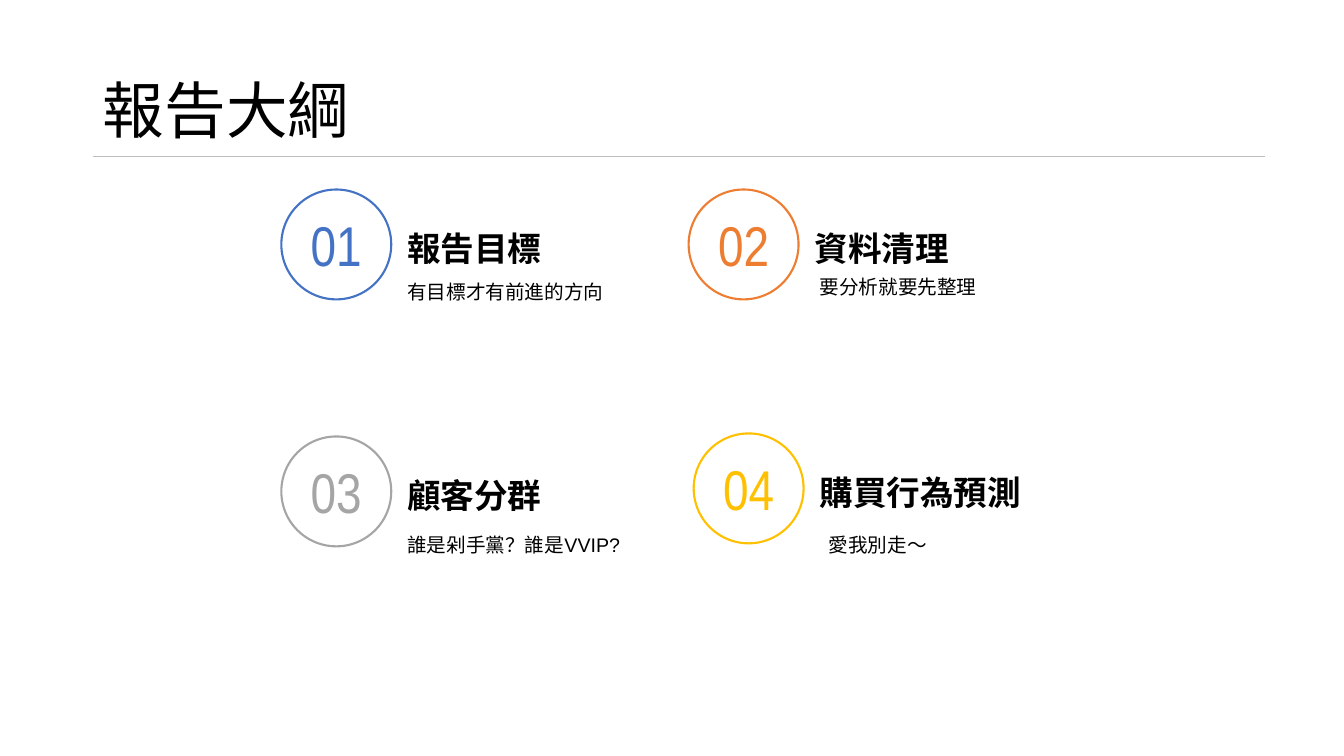
"""Build the report outline slide with four numbered sections."""
from lxml.etree import SubElement
from pptx import Presentation
from pptx.dml.color import RGBColor
from pptx.enum.shapes import MSO_CONNECTOR as CONNECTOR, MSO_SHAPE as SHAPE
from pptx.enum.text import MSO_ANCHOR as ANCHOR, PP_ALIGN as ALIGN
from pptx.oxml.ns import qn
from pptx.util import Inches, Pt

CJK = "Noto Sans CJK TC"


def color(value):
    return RGBColor.from_string(value)


def write(shape, text, size, font, hex_color="000000", bold=False, spacing=1.0,
          align=ALIGN.LEFT, anchor=ANCHOR.TOP, wrap=True):
    frame = shape.text_frame
    frame.text = text
    frame.word_wrap = wrap
    frame.vertical_anchor = anchor
    paragraph = frame.paragraphs[0]
    paragraph.alignment = align
    paragraph.line_spacing = spacing
    run_font = paragraph.runs[0].font
    run_font.size = Pt(size)
    run_font.name = font
    run_font.bold = bold
    run_font.color.rgb = color(hex_color)
    SubElement(paragraph.runs[0]._r.get_or_add_rPr(), qn("a:ea"), typeface=CJK)


prs = Presentation()
prs.slide_width, prs.slide_height = Inches(13.33), Inches(7.5)
slide = prs.slides.add_slide(prs.slide_layouts[5])
shapes = slide.shapes

title = shapes.title
title.left, title.top = Inches(0.92), Inches(0.75)
title.width, title.height = Inches(11.5), Inches(1.45)
write(title, "報告大綱", 44, CJK, spacing=0.9)

sections = [
    ("01", "報告目標", "有目標才有前進的方向", "4472C4", 2.79, 1.88, 3.94, 2.68, 1.2),
    ("02", "資料清理", "要分析就要先整理", "ED7D31", 6.83, 1.88, 8.03, 2.68, 1.0),
    ("03", "顧客分群", "誰是剁手黨？誰是VVIP?", "A5A5A5", 2.79, 4.33, 3.94, 5.19, 1.2),
    ("04", "購買行為預測", "愛我別走～", "FFC000", 6.88, 4.3, 8.12, 5.19, 1.2),
]
for number, heading, note, accent, left, top, note_left, note_top, spacing in sections:
    circle = shapes.add_shape(SHAPE.OVAL, Inches(left), Inches(top), Inches(1.09), Inches(1.09))
    circle.shadow.inherit = False
    circle.fill.background()
    circle.line.color.rgb = color(accent)
    circle.line.width = Pt(1.5)
    write(circle, number, 40, "Arial Narrow", accent,
          align=ALIGN.CENTER, anchor=ANCHOR.MIDDLE, wrap=False)

    heading_box = shapes.add_textbox(Inches(left + 1.15), Inches(top + 0.33),
                                     Inches(2.36), Inches(0.39))
    write(heading_box, heading, 24, "Arial", bold=True)

    note_box = shapes.add_textbox(Inches(note_left), Inches(note_top), Inches(2.36), Inches(0.67))
    write(note_box, note, 14, CJK if number == "02" else "Arial", spacing=spacing)

divider = shapes.add_connector(CONNECTOR.STRAIGHT, Inches(0.92), Inches(1.55),
                               Inches(12.55), Inches(1.55))
divider.line.color.rgb = color("BFBFBF")
divider.line.width = Pt(0.25)
SubElement(divider._element.spPr, qn("a:effectLst"))

prs.save("out.pptx")
